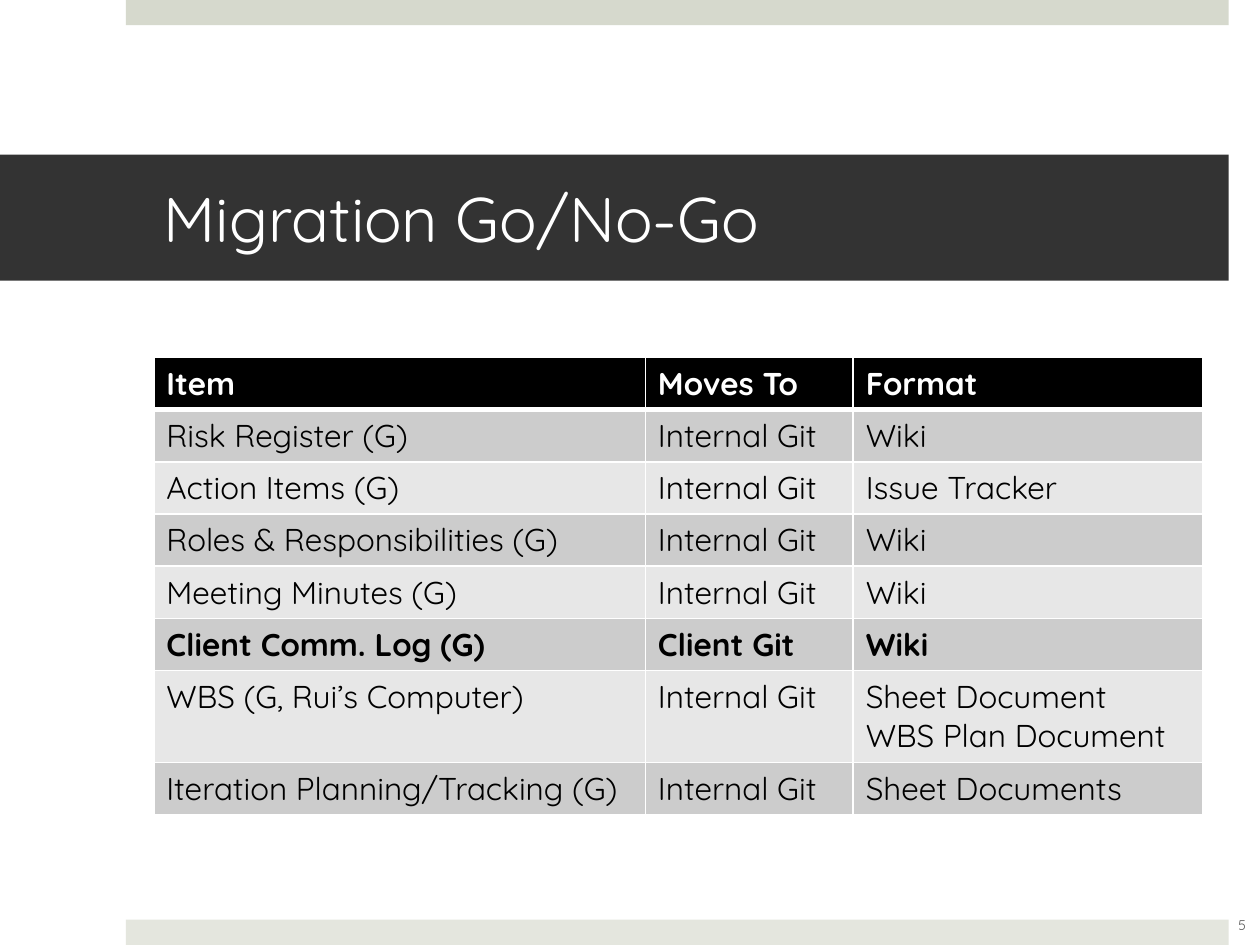
from lxml.etree import SubElement
from pptx import Presentation
from pptx.dml.color import RGBColor
from pptx.enum.shapes import MSO_SHAPE
from pptx.enum.text import MSO_ANCHOR, PP_ALIGN
from pptx.oxml.ns import qn
from pptx.util import Cm, Pt

FONT = "Quicksand"
WHITE = RGBColor(0xFF, 0xFF, 0xFF)
BLACK = RGBColor(0x00, 0x00, 0x00)
CHARCOAL = RGBColor(0x33, 0x33, 0x33)
SAGE = RGBColor(0xD6, 0xD9, 0xCD)
PALE_SAGE = RGBColor(0xE4, 0xE6, 0xDE)
DARK_BAND = RGBColor(0xCC, 0xCC, 0xCC)
LIGHT_BAND = RGBColor(0xE7, 0xE7, 0xE7)
GREY = RGBColor(0x59, 0x59, 0x59)

HEADINGS = ("Item", "Moves To", "Format")
MIGRATIONS = (
    ("Risk Register (G)", "Internal Git", "Wiki"),
    ("Action Items (G)", "Internal Git", "Issue Tracker"),
    ("Roles & Responsibilities (G)", "Internal Git", "Wiki"),
    ("Meeting Minutes (G)", "Internal Git", "Wiki"),
    ("Client Comm. Log (G)", "Client Git", "Wiki"),
    ("WBS (G, Rui’s Computer)", "Internal Git", "Sheet Document\nWBS Plan Document"),
    ("Iteration Planning/Tracking (G)", "Internal Git", "Sheet Documents"),
)
COLUMN_WIDTHS = (9.91, 4.19, 7.04)
ROW_HEIGHT = 1.05
EXTRA_LINE = 0.8


def write(frame, text, size, color, bold=False, align=PP_ALIGN.LEFT):
    frame.text = text
    for paragraph in frame.paragraphs:
        paragraph.alignment = align
        look = {"name": FONT, "size": Pt(size), "bold": bold}
        for attribute, value in look.items():
            setattr(paragraph.font, attribute, value)
        paragraph.font.color.rgb = color


def set_frame(frame, left, right, vertical):
    layout = {
        "margin_left": Cm(left), "margin_right": Cm(right),
        "margin_top": Cm(vertical), "margin_bottom": Cm(vertical),
        "vertical_anchor": MSO_ANCHOR.MIDDLE, "word_wrap": True,
    }
    for attribute, value in layout.items():
        setattr(frame, attribute, value)


def add_bar(slide, left, top, width, height, color):
    bar = slide.shapes.add_shape(
        MSO_SHAPE.RECTANGLE, Cm(left), Cm(top), Cm(width), Cm(height))
    bar.shadow.inherit = False
    bar.fill.solid()
    bar.fill.fore_color.rgb = color
    bar.line.fill.background()
    return bar


def add_title_band(slide, left, top, width, height):
    band = add_bar(slide, left, top, width, height, CHARCOAL)
    set_frame(band.text_frame, 3.3, 0.76, 0.13)
    write(band.text_frame, "Migration Go/No-Go", 36, WHITE)


def add_page_number(slide, left, top, width, height):
    number = slide.shapes.add_textbox(Cm(left), Cm(top), Cm(width), Cm(height))
    set_frame(number.text_frame, 0, 0, 0)
    write(number.text_frame, "5", 8, GREY, align=PP_ALIGN.CENTER)


def set_borders(cell, widths):
    """Draw white borders; widths maps the XML edge tags, in schema order, to points."""
    properties = cell._tc.get_or_add_tcPr()
    for edge, width in widths.items():
        line = SubElement(properties, qn(f"a:{edge}"), w=str(Pt(width)))
        fill = SubElement(line, qn("a:solidFill"))
        SubElement(fill, qn("a:srgbClr"), val=str(WHITE))


def add_migration_table(slide, left, top):
    rows = (HEADINGS, *MIGRATIONS)
    heights = [ROW_HEIGHT + EXTRA_LINE * max(text.count("\n") for text in row)
               for row in rows]
    table = slide.shapes.add_table(
        len(rows), len(HEADINGS), Cm(left), Cm(top),
        Cm(sum(COLUMN_WIDTHS)), Cm(sum(heights))).table
    for column, width in zip(table.columns, COLUMN_WIDTHS):
        column.width = Cm(width)
    for r, (row, height) in enumerate(zip(rows, heights)):
        table.rows[r].height = Cm(height)
        heading = r == 0
        band = BLACK if heading else DARK_BAND if r % 2 else LIGHT_BAND
        bold = heading or row[0].startswith("Client")
        for c, text in enumerate(row):
            cell = table.cell(r, c)
            set_borders(cell, {"lnL": 1, "lnR": 1, "lnT": 3 if r == 1 else 1,
                               "lnB": 3 if heading else 1})
            cell.fill.solid()
            cell.fill.fore_color.rgb = band
            write(cell.text_frame, text, 18, WHITE if heading else BLACK, bold)


def main():
    deck = Presentation()
    deck.slide_width, deck.slide_height = Cm(25.4), Cm(19.05)
    slide = deck.slides.add_slide(deck.slide_layouts[6])
    add_bar(slide, 2.54, 0, 22.23, 0.51, SAGE)
    add_bar(slide, 2.54, 18.54, 22.23, 0.51, PALE_SAGE)
    add_title_band(slide, 0, 3.12, 24.77, 2.54)
    add_migration_table(slide, 3.1, 7.21)
    add_page_number(slide, 24.69, 18.24, 0.71, 1.02 - 0.21)
    deck.save("out.pptx")


if __name__ == "__main__":
    main()
